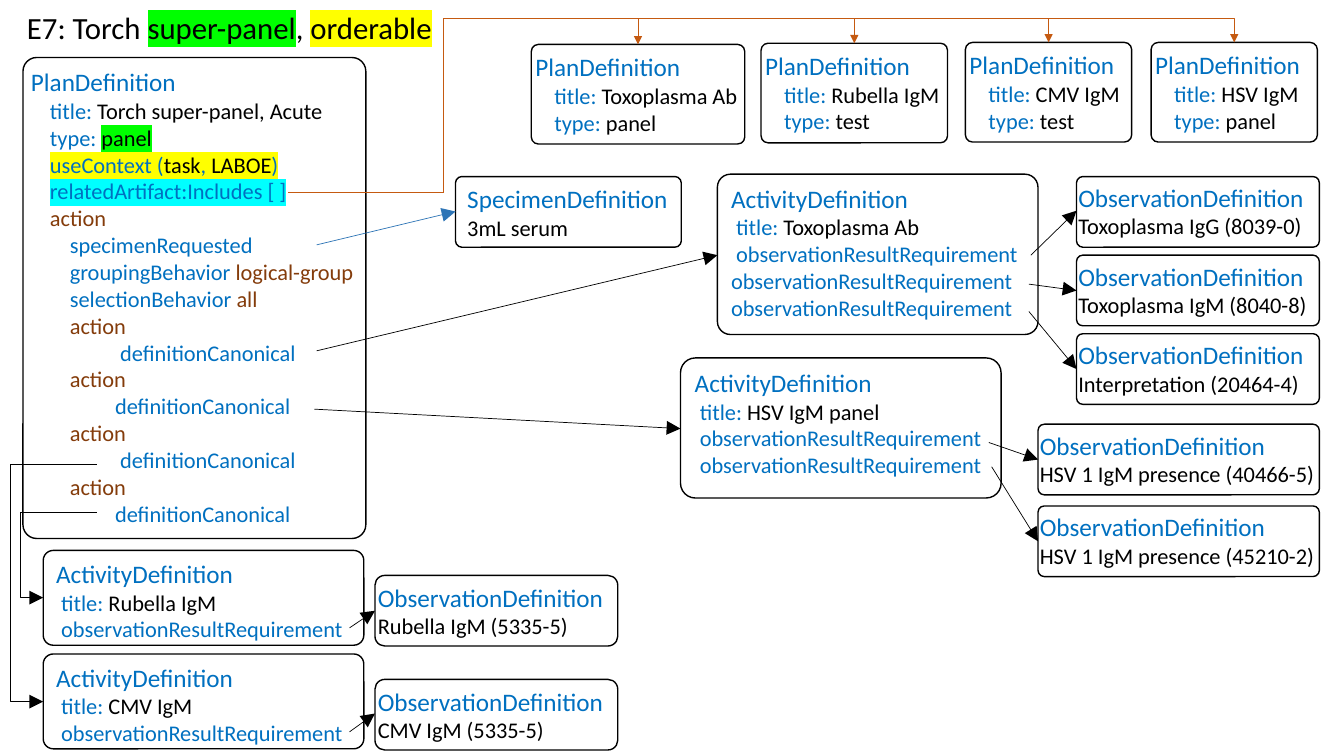
from dataclasses import dataclass
from typing import Optional

from lxml import etree
from pptx import Presentation
from pptx.dml.color import RGBColor
from pptx.enum.shapes import MSO_CONNECTOR, MSO_SHAPE
from pptx.enum.text import MSO_ANCHOR, MSO_AUTO_SIZE, PP_ALIGN
from pptx.oxml.ns import qn
from pptx.util import Cm, Pt

STRAIGHT, ELBOW = MSO_CONNECTOR.STRAIGHT, MSO_CONNECTOR.ELBOW
ROUNDED = MSO_SHAPE.ROUNDED_RECTANGLE
TOP, LEFT, NO_AUTOFIT = MSO_ANCHOR.TOP, PP_ALIGN.LEFT, MSO_AUTO_SIZE.NONE


@dataclass(frozen=True)
class Theme:
    font: str = "Calibri"
    title_size: int = 22
    heading_size: int = 18
    body_size: int = 16
    black: str = "000000"
    blue: str = "0070C0"
    brown: str = "843C0B"
    arrow_blue: str = "2E75B6"
    orange: str = "C55A11"
    green_mark: str = "00FF00"
    yellow_mark: str = "FFFF00"
    cyan_mark: str = "00FFFF"
    box_line: float = 1
    arrow_line: float = 0.5


THEME = Theme()


@dataclass(frozen=True)
class Piece:
    text: str
    color: str = THEME.blue
    mark: Optional[str] = None


@dataclass(frozen=True)
class Line:
    pieces: tuple[Piece, ...]
    indent: float = 0
    size: int = THEME.body_size


@dataclass(frozen=True)
class Box:
    left: float
    top: float
    width: float
    height: float
    corner: float
    lines: tuple[Line, ...]
    inset_x: float = 0.25
    inset_y: float = 0.13


@dataclass(frozen=True)
class Arrow:
    start: tuple[float, float]
    end: tuple[float, float]
    color: str = THEME.black
    bend_x: Optional[float] = None
    bend_y: Optional[float] = None
    head: str = "lg"


def heading(text: str) -> Line:
    return Line((Piece(text),), size=THEME.heading_size)


def plain(text: str, color: str = THEME.blue, indent: float = 0) -> Line:
    return Line((Piece(text, color),), indent)


def labelled(label: str, value: str, indent: float, color: str = THEME.black,
             mark: Optional[str] = None) -> Line:
    return Line((Piece(label + " "), Piece(value, color, mark)), indent)


def plan_card(left: float, top: float, width: float, title: str, kind: str) -> Box:
    lines = (heading("PlanDefinition"), labelled("title:", title, 0.48), labelled("type:", kind, 0.48))
    return Box(left, top, width, 2.51, 0.071, lines, inset_x=0.05)


def activity(left: float, top: float, height: float, corner: float, title: str,
             result_indents: tuple[float, ...]) -> Box:
    results = tuple(plain("observationResultRequirement", indent=indent) for indent in result_indents)
    lines = (heading("ActivityDefinition"), labelled("title:", title, 0.13)) + results
    return Box(left, top, 8.08, height, corner, lines)


def observation(left: float, top: float, width: float, text: str, corner: float = 0.089) -> Box:
    lines = (heading("ObservationDefinition"), plain(text, THEME.black))
    return Box(left, top, width, 1.78, corner, lines, inset_x=0, inset_y=0.1)


def nested_actions() -> tuple[Line, ...]:
    return tuple(line for indent in (2.25, 2.12, 2.25, 2.12)
                 for line in (plain("action", THEME.brown, 0.98), plain("definitionCanonical", indent=indent)))


TITLE = Line((Piece("E7: Torch ", THEME.black), Piece("super-panel", THEME.black, THEME.green_mark),
              Piece(", ", THEME.black), Piece("orderable", THEME.black, THEME.yellow_mark)),
             size=THEME.title_size)

SUPER_PANEL = Box(0.58, 1.45, 8.64, 12.12, 0.04, (
    heading("PlanDefinition"),
    labelled("title:", "Torch super-panel, Acute", 0.48),
    labelled("type:", "panel", 0.48, mark=THEME.green_mark),
    Line(tuple(Piece(text, color, THEME.yellow_mark) for text, color in (
        ("useContext (", THEME.blue), ("task", THEME.black), (", ", THEME.blue),
        ("LABOE", THEME.black), (")", THEME.blue))), 0.48),
    Line((Piece("relatedArtifact:Includes [ ]", mark=THEME.cyan_mark),), 0.48),
    plain("action", THEME.brown, 0.48),
    plain("specimenRequested", indent=0.98),
    labelled("groupingBehavior", "logical-group", 0.98, THEME.brown),
    labelled("selectionBehavior", "all", 0.98, THEME.brown),
) + nested_actions(), inset_x=0.1)

PLAN_CARDS = (
    plan_card(13.39, 1.12, 5.38, "Toxoplasma Ab", "panel"),
    plan_card(19.18, 1.09, 4.7, "Rubella IgM", "test"),
    plan_card(24.33, 1.07, 4.19, "CMV IgM", "test"),
    plan_card(29.01, 1.07, 4.19, "HSV IgM", "panel"),
)

BOXES = (SUPER_PANEL,) + PLAN_CARDS + (
    Box(11.48, 4.45, 5.69, 1.78, 0.089, (heading("SpecimenDefinition"), plain("3mL serum", THEME.black))),
    activity(18.08, 4.39, 4.04, 0.081, "Toxoplasma Ab", (0.13, 0, 0)),
    activity(17.15, 9.02, 3.53, 0.106, "HSV IgM panel", (0.13, 0.13)),
    activity(1.09, 13.87, 2.39, 0.106, "Rubella IgM", (0.13,)),
    activity(1.09, 16.48, 2.39, 0.106, "CMV IgM", (0.13,)),
    observation(27.13, 4.45, 6.12, "Toxoplasma IgG (8039-0)"),
    observation(27.13, 6.43, 6.12, "Toxoplasma IgM (8040-8)"),
    observation(27.13, 8.41, 6.12, "Interpretation (20464-4)"),
    observation(26.16, 10.69, 7.09, "HSV 1 IgM presence (40466-5)"),
    observation(26.16, 12.75, 7.09, "HSV 1 IgM presence (45210-2)"),
    observation(9.45, 14.5, 6.12, "Rubella IgM (5335-5)", 0.14),
    observation(9.45, 17.12, 6.12, "CMV IgM (5335-5)", 0.14),
)

ARROWS = (
    Arrow((7.98, 6.17), (11.48, 5.33), THEME.arrow_blue),
    Arrow((7.98, 8.84), (18.08, 6.43)),
    Arrow((7.92, 10.31), (17.15, 10.8)),
    Arrow((25.98, 6.43), (27.13, 5.31)),
    Arrow((25.93, 7.16), (27.13, 7.32)),
    Arrow((25.93, 7.85), (27.13, 9.3)),
    Arrow((24.92, 11.15), (26.16, 11.58)),
    Arrow((24.99, 11.76), (26.16, 13.64)),
    Arrow((8.81, 15.82), (9.45, 15.39)),
    Arrow((8.81, 18.44), (9.45, 17.98)),
    Arrow((2.44, 12.9), (1.09, 15.06), bend_x=0.51),
    Arrow((2.44, 11.71), (1.09, 17.68), bend_x=0.25),
) + tuple(Arrow((7.26, 4.85), (card.left + card.width / 2, card.top), THEME.orange, 11.17, 0.46, "med")
          for card in PLAN_CARDS)


def write_lines(text_frame, lines: tuple[Line, ...], inset_x: float, inset_y: float) -> None:
    text_frame.word_wrap = True
    text_frame.auto_size = NO_AUTOFIT
    text_frame.vertical_anchor = TOP
    text_frame.margin_left = text_frame.margin_right = Cm(inset_x)
    text_frame.margin_top = text_frame.margin_bottom = Cm(inset_y)
    for index, line in enumerate(lines):
        paragraph = text_frame.add_paragraph() if index else text_frame.paragraphs[0]
        paragraph.alignment = LEFT
        paragraph._p.get_or_add_pPr().set("marL", str(Cm(line.indent)))
        for piece in line.pieces:
            run = paragraph.add_run()
            run.text = piece.text
            run.font.size = Pt(line.size)
            run.font.color.rgb = RGBColor.from_string(piece.color)
            run.font.name = THEME.font
            if piece.mark:
                highlight = etree.Element(qn("a:highlight"))
                etree.SubElement(highlight, qn("a:srgbClr"), val=piece.mark)
                run._r.rPr.find(qn("a:solidFill")).addnext(highlight)


def draw_box(slide, box: Box) -> None:
    shape = slide.shapes.add_shape(ROUNDED, Cm(box.left), Cm(box.top), Cm(box.width), Cm(box.height))
    shape.adjustments[0] = box.corner
    shape.shadow.inherit = False
    shape.fill.background()
    shape.line.color.rgb = RGBColor.from_string(THEME.black)
    shape.line.width = Pt(THEME.box_line)
    write_lines(shape.text_frame, box.lines, box.inset_x, box.inset_y)


def draw_arrow(slide, arrow: Arrow) -> None:
    kind = STRAIGHT if arrow.bend_x is None else ELBOW
    connector = slide.shapes.add_connector(kind, *(Cm(value) for value in arrow.start + arrow.end))
    connector.line.color.rgb = RGBColor.from_string(arrow.color)
    connector.line.width = Pt(THEME.arrow_line)
    properties = connector._element.spPr
    etree.SubElement(properties.find(qn("a:ln")), qn("a:tailEnd"), type="triangle", w=arrow.head, len=arrow.head)
    etree.SubElement(properties, qn("a:effectLst"))
    bends = [(bend - start) / (end - start)
             for bend, start, end in zip((arrow.bend_x, arrow.bend_y), arrow.start, arrow.end)
             if bend is not None]
    if bends:
        geometry = properties.find(qn("a:prstGeom"))
        geometry.set("prst", f"bentConnector{len(bends) + 2}")
        guides = geometry.find(qn("a:avLst"))
        for number, bend in enumerate(bends, 1):
            etree.SubElement(guides, qn("a:gd"), name=f"adj{number}", fmla=f"val {round(bend * 100000)}")


def main() -> None:
    presentation = Presentation()
    presentation.slide_width, presentation.slide_height = Cm(33.87), Cm(19.05)
    slide = presentation.slides.add_slide(presentation.slide_layouts.get_by_name("Title Only"))
    title = slide.shapes.title
    title.left, title.top, title.width, title.height = Cm(0.43), Cm(0.08), Cm(11.4), Cm(1.19)
    write_lines(title.text_frame, (TITLE,), 0.25, 0.13)
    for box in BOXES:
        draw_box(slide, box)
    for arrow in ARROWS:
        draw_arrow(slide, arrow)
    presentation.save("out.pptx")


if __name__ == "__main__":
    main()
